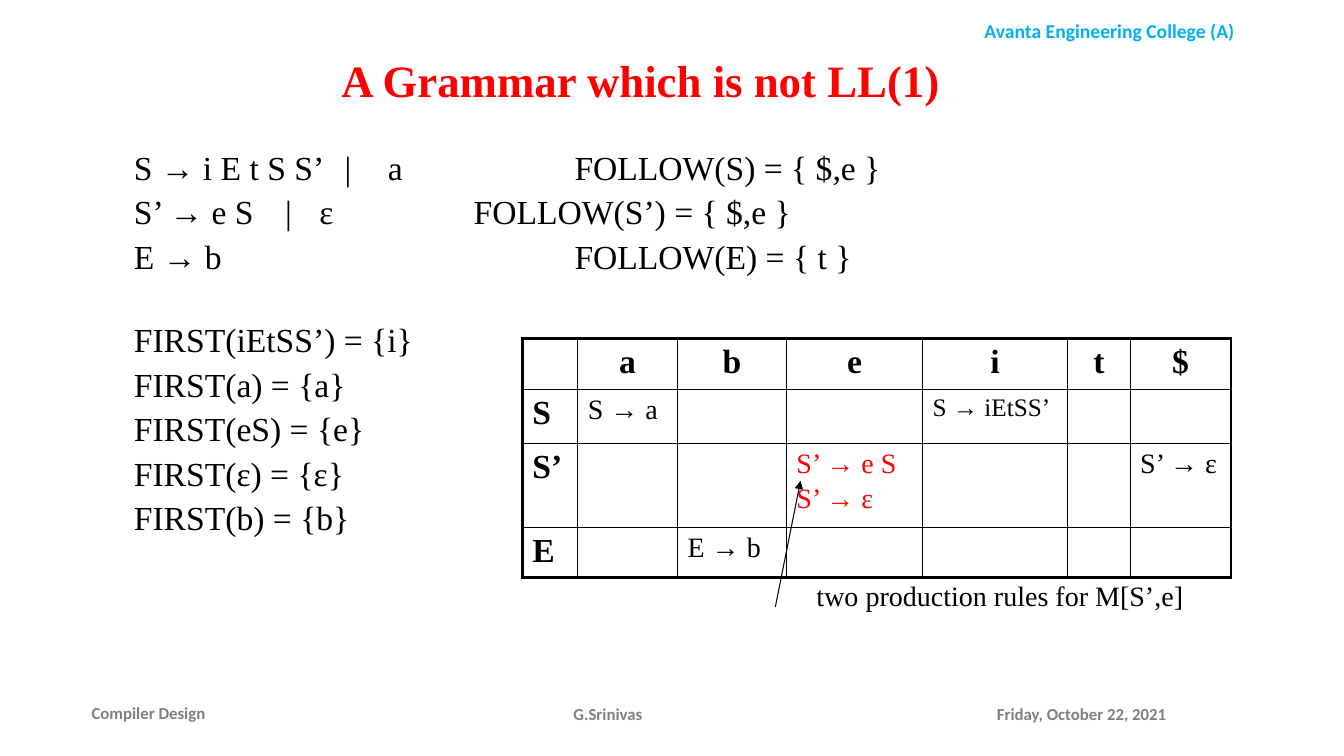
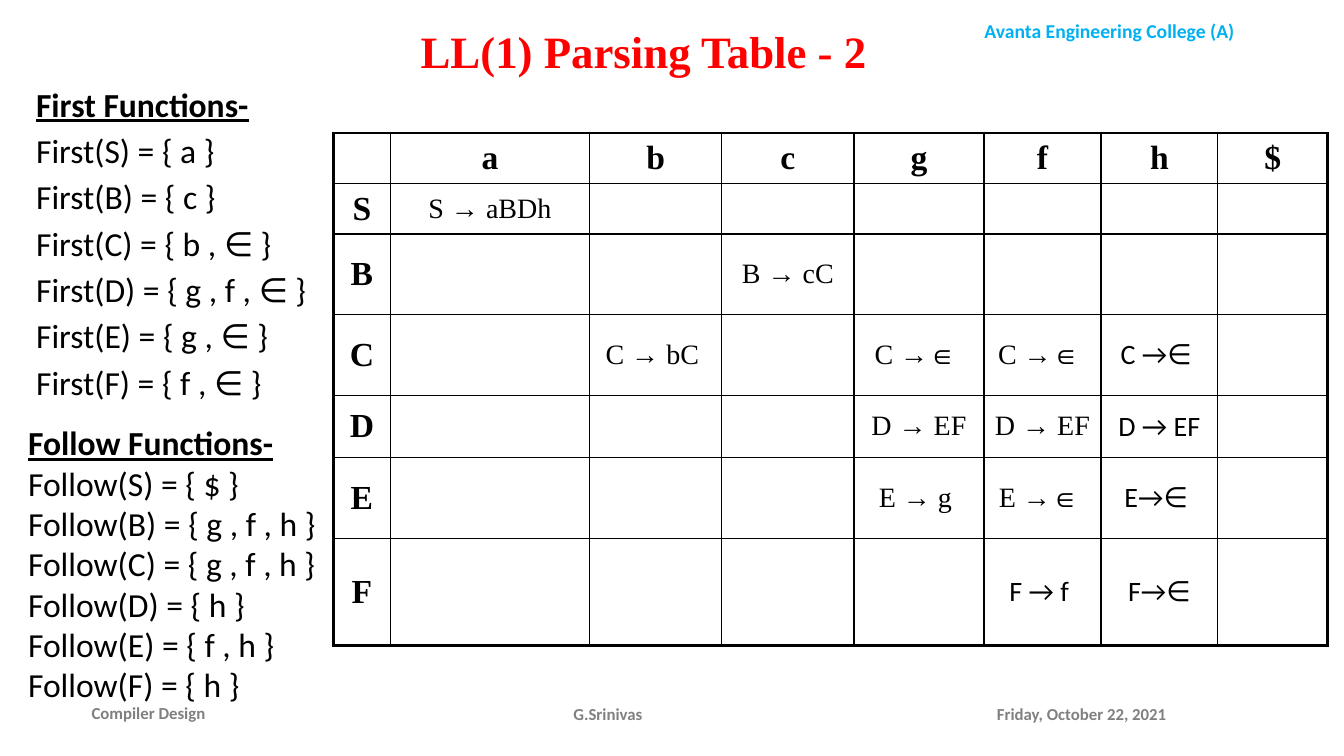
from lxml.etree import SubElement
from pptx import Presentation
from pptx.dml.color import RGBColor
from pptx.enum.shapes import MSO_CONNECTOR
from pptx.enum.text import MSO_ANCHOR as ANCHOR, PP_ALIGN as ALIGN
from pptx.oxml.ns import qn
from pptx.util import Emu, Pt

PX = 9144  # EMU per px, 100 px to the inch
WIDTH, HEIGHT = 1333, 750

BLACK = RGBColor(0x00, 0x00, 0x00)
RED = RGBColor(0xFF, 0x00, 0x00)
SKY = RGBColor(0x00, 0xB0, 0xF0)
GRAY = RGBColor(0x80, 0x80, 0x80)
SERIF, SANS = "Times New Roman", "Calibri"
THIN, THICK = 1, 2.25


def px(length):
    return Emu(length * PX)


def write(paragraph, text, size=24, font=SERIF, color=BLACK, bold=False,
          underline=False, align=ALIGN.LEFT, before=0, spacing=None, tabs=()):
    """Fill one paragraph and format it; tabs are px from its left edge."""
    paragraph.alignment = align
    paragraph.space_before = Pt(before)
    if spacing:
        paragraph.line_spacing = spacing
    if tabs:
        tab_list = SubElement(paragraph._p.get_or_add_pPr(), qn("a:tabLst"))
        for stop in tabs:
            SubElement(tab_list, qn("a:tab"), pos=str(px(stop)), algn="l")
    run = paragraph.add_run()
    run.text = text
    run.font.size = Pt(size)
    run.font.name = font
    run.font.bold = bold
    run.font.underline = underline
    run.font.color.rgb = color


def write_lines(frame, lines, **style):
    """Write each line, a text or a (text, own style) pair, as a paragraph."""
    for index, line in enumerate(lines):
        text, own = (line, {}) if isinstance(line, str) else line
        paragraph = frame.add_paragraph() if index else frame.paragraphs[0]
        write(paragraph, text, **{**style, **own})


def set_borders(cell, left, right, top, bottom):
    properties = cell._tc.get_or_add_tcPr()
    for side, width in zip("LRTB", (left, right, top, bottom)):
        line = SubElement(properties, qn(f"a:ln{side}"), w=str(Pt(width)))
        fill = SubElement(line, qn("a:solidFill"))
        SubElement(fill, qn("a:srgbClr"), val=str(BLACK))


class Deck:
    def __init__(self):
        self.prs = Presentation()
        self.prs.slide_width, self.prs.slide_height = px(WIDTH), px(HEIGHT)
        self.slide = None

    def new_slide(self, title, title_left, title_top):
        """Start a slide with the shared header, footers and title."""
        self.slide = self.prs.slides.add_slide(self.prs.slide_layouts[6])
        self.text(909, 14, 383, 34, ["Avanta Engineering College (A)"], size=14,
                  font=SANS, color=SKY, bold=True, align=ALIGN.CENTER)
        for left, top, width, label, align in (
                (81, 687, 211, "Compiler Design", ALIGN.LEFT),
                (979, 688, 273, "Friday, October 22, 2021", ALIGN.LEFT),
                (453, 688, 300, "G.Srinivas", ALIGN.CENTER)):
            self.text(left, top, width, 40, [label], anchor=ANCHOR.MIDDLE, size=12,
                      font=SANS, color=GRAY, bold=True, align=align)
        self.text(title_left, title_top, 1025, 100, [title], anchor=ANCHOR.MIDDLE,
                  size=32, color=RED, bold=True, align=ALIGN.CENTER)

    def text(self, left, top, width, height, lines, anchor=ANCHOR.TOP, **style):
        box = self.slide.shapes.add_textbox(px(left), px(top), px(width), px(height))
        frame = box.text_frame
        frame.word_wrap = True
        frame.vertical_anchor = anchor
        write_lines(frame, lines, **style)

    def parsing_table(self, left, top, widths, heights, terminals, nonterminals,
                      rules, anchor=ANCHOR.TOP, align=ALIGN.LEFT):
        """Draw a parsing table; rules maps (nonterminal, terminal) to lines."""
        table = self.slide.shapes.add_table(
            len(heights), len(widths), px(left), px(top),
            px(sum(widths)), px(sum(heights))).table
        table.first_row = table.horz_banding = False
        for column, width in zip(table.columns, widths):
            column.width = px(width)
        for row, height in zip(table.rows, heights):
            row.height = px(height)
        last_row, last_column = len(heights) - 1, len(widths) - 1
        for r, nonterminal in enumerate(["", *nonterminals]):
            for c, terminal in enumerate(["", *terminals]):
                cell = table.cell(r, c)
                cell.vertical_anchor = anchor
                set_borders(cell, *(THICK if outer else THIN for outer in (
                    c == 0, c == last_column, r == 0, r == last_row)))
                cell.fill.background()
                if r and c:
                    write_lines(cell.text_frame, rules.get((nonterminal, terminal), []),
                                size=20, align=align, before=3)
                elif r or c:
                    write_lines(cell.text_frame, [nonterminal or terminal], bold=True,
                                align=align if r else ALIGN.CENTER)

    def arrow(self, x1, y1, x2, y2):
        line = self.slide.shapes.add_connector(
            MSO_CONNECTOR.STRAIGHT, px(x1), px(y1), px(x2), px(y2))
        line.line.color.rgb = BLACK
        line.line.width = Pt(0.75)
        SubElement(line.line._get_or_add_ln(), qn("a:tailEnd"), type="triangle")
        SubElement(line._element.spPr, qn("a:effectLst"))

    def conflict_slide(self):
        self.new_slide("A Grammar which is not LL(1)", 123, 29)
        # Grammar with FOLLOW sets, then FIRST sets
        sets = dict(spacing=0.9, before=5.9)
        self.text(123, 145, 1117, 140, [
            ("S → i E t S S’\t|\ta\tFOLLOW(S) = { $,e }", {"tabs": (209, 252, 437)}),
            ("S’ → e S\t|\tε\tFOLLOW(S’) = { $,e }", {"tabs": (150, 184, 337)}),
            ("E → b\tFOLLOW(E) = { t }", {"tabs": (437,)})], **sets)
        self.text(123, 316, 380, 225, [
            "FIRST(iEtSS’) = {i}", "FIRST(a) = {a}", "FIRST(eS) = {e}",
            "FIRST(ε) = {ε}", "FIRST(b) = {b}"], **sets)
        # Table with the conflicting entry
        red = {"color": RED}
        self.parsing_table(
            518, 336, (55, 99, 108, 135, 144, 62, 100), (50, 54, 83, 50),
            "abeit$", ("S", "S’", "E"), {
                ("S", "a"): ["S → a"],
                ("S", "i"): [("S → iEtSS’", {"size": 18})],
                ("S’", "e"): [("S’ → e S", red), ("S’ → ε", red)],
                ("S’", "$"): ["S’ → ε"],
                ("E", "b"): ["E → b"]})
        self.text(800, 569, 420, 40, ["two production rules for M[S’,e]"], size=20)
        self.arrow(769, 602, 794, 477)

    def table_slide(self):
        self.new_slide("LL(1) Parsing Table - 2", 126, 0)
        # First and Follow sets
        heading = {"bold": True, "underline": True}
        self.text(26, 78, 320, 335, [
            ("First Functions-", heading), "First(S) = { a }", "First(B) = { c }",
            "First(C) = { b , ∈ }", "First(D) = { g , f , ∈ }",
            "First(E) = { g , ∈ }", "First(F) = { f , ∈ }"], font=SANS, before=4.3)
        self.text(18, 414, 352, 293, [
            ("Follow Functions-", heading), "Follow(S) = { $ }",
            "Follow(B) = { g , f , h }", "Follow(C) = { g , f , h }",
            "Follow(D) = { h }", "Follow(E) = { f , h }", "Follow(F) = { h }"],
            font=SANS)
        # Parsing table
        sans = {"font": SANS}
        self.parsing_table(
            331, 132, (56, 198, 131, 131, 129, 116, 116, 109),
            (50, 50, 80, 80, 62, 80, 106), "abcgfh$", "SBCDEF", {
                ("S", "a"): ["S → aBDh"],
                ("B", "c"): ["B → cC"],
                ("C", "b"): ["C → bC "],
                ("C", "g"): ["C →∈ "],
                ("C", "f"): ["C →∈ "],
                ("C", "h"): [("C →∈ ", sans)],
                ("D", "g"): ["D → EF"],
                ("D", "f"): ["D → EF"],
                ("D", "h"): [("D → EF", sans)],
                ("E", "g"): ["E → g "],
                ("E", "f"): ["E →∈ "],
                ("E", "h"): [("E→∈ ", sans)],
                ("F", "f"): [("F → f ", sans)],
                ("F", "h"): [("F→∈", sans)]},
            anchor=ANCHOR.MIDDLE, align=ALIGN.CENTER)


def main():
    deck = Deck()
    deck.conflict_slide()
    deck.table_slide()
    deck.prs.save("out.pptx")


if __name__ == "__main__":
    main()
